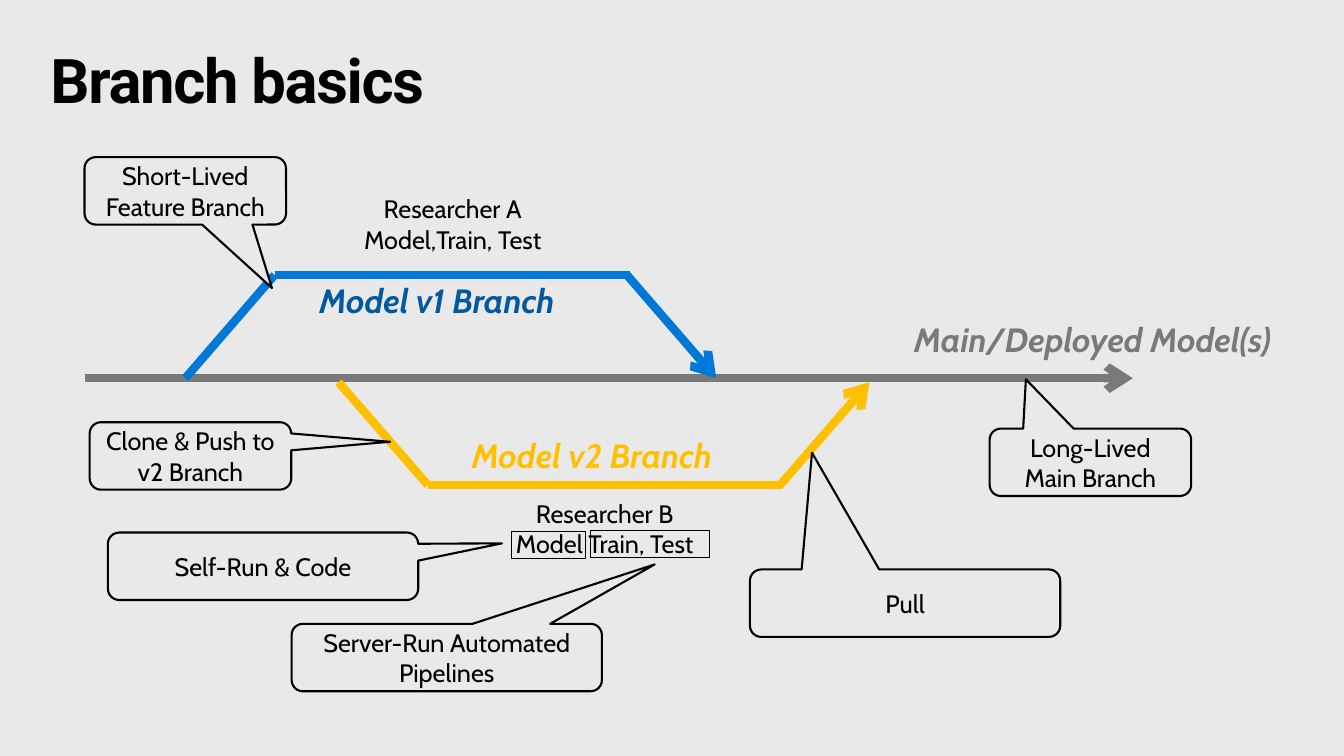
from dataclasses import dataclass

from lxml.etree import SubElement
from pptx import Presentation
from pptx.dml.color import RGBColor
from pptx.enum.shapes import MSO_CONNECTOR, MSO_SHAPE
from pptx.enum.text import MSO_ANCHOR, MSO_AUTO_SIZE, PP_ALIGN
from pptx.oxml.ns import qn
from pptx.util import Cm, Pt


@dataclass(frozen=True)
class Theme:
    paper: RGBColor = RGBColor.from_string("E9E9E9")
    ink: RGBColor = RGBColor.from_string("000000")
    main: RGBColor = RGBColor.from_string("797979")
    v1: RGBColor = RGBColor.from_string("0078D7")
    v1_name: RGBColor = RGBColor.from_string("0359A0")
    v2: RGBColor = RGBColor.from_string("FFC000")
    title_size: Pt = Pt(44)
    branch_size: Pt = Pt(24)
    body_size: Pt = Pt(18)
    track_width: Pt = Pt(6)
    callout_width: Pt = Pt(1.5)
    frame_width: Pt = Pt(0.5)


theme = Theme()
title_format = {"name": "Roboto", "size": theme.title_size, "bold": True}
branch_format = {"name": "Cabin", "size": theme.branch_size, "bold": True, "italic": True}
body_format = {"name": "Cabin", "size": theme.body_size}

prs = Presentation()
prs.slide_width, prs.slide_height = Cm(33.87), Cm(19.05)
slide = prs.slides.add_slide(prs.slide_layouts[5])
slide.background.fill.solid()
slide.background.fill.fore_color.rgb = theme.paper


def write(frame, text, font_format, color, align):
    """Fill a text frame, one paragraph per line of text."""
    frame.text = text
    for paragraph in frame.paragraphs:
        paragraph.alignment = align
        for attribute, value in font_format.items():
            setattr(paragraph.runs[0].font, attribute, value)
        paragraph.runs[0].font.color.rgb = color


def draw_track(start, end, color, arrow=False):
    track = slide.shapes.add_connector(
        MSO_CONNECTOR.STRAIGHT, *(Cm(value) for value in (*start, *end)))
    track.line.color.rgb = color
    track.line.width = theme.track_width
    if arrow:
        SubElement(track.line._get_or_add_ln(), qn("a:tailEnd"), type="arrow")
    SubElement(track._element.spPr, qn("a:effectLst"))


# Title
title = slide.shapes.title
title.left, title.top, title.width, title.height = Cm(1.27), Cm(1.27), Cm(31.32), Cm(1.75)
write(title.text_frame, "Branch basics", title_format, theme.ink, PP_ALIGN.LEFT)
title_layout = {"margin_left": 0, "margin_top": 0, "margin_right": 0, "margin_bottom": 0,
                "vertical_anchor": MSO_ANCHOR.TOP, "auto_size": MSO_AUTO_SIZE.NONE}
for attribute, value in title_layout.items():
    setattr(title.text_frame, attribute, value)
heading = title.text_frame.paragraphs[0]
heading.line_spacing = 0.9
heading.runs[0].font._element.set("spc", "-100")

# Main line, then each branch: leaves it, runs beside it, merges back
draw_track((2.13, 9.53), (28.55, 9.53), theme.main, arrow=True)
slope, branch_length, overlap = 2.25, 13.38, 0.08
for fork_x, fork_y, run_y, color in ((4.67, 9.53, 6.93, theme.v1),
                                     (8.53, 9.63, 12.22, theme.v2)):
    run_start, merge_x = fork_x + slope, fork_x + branch_length
    run_end = merge_x - slope
    draw_track((run_start, run_y), (run_end + overlap, run_y), color)
    draw_track((fork_x, fork_y), (run_start, run_y), color)
    draw_track((run_end, run_y), (merge_x, fork_y), color, arrow=True)

# Branch names and the researchers' work
labels = (
    ("Model v1 Branch", 8.05, 7.06, 6.71, 1.02, branch_format, theme.v1_name, PP_ALIGN.LEFT),
    ("Model v2 Branch", 11.89, 10.97, 6.71, 1.02, branch_format, theme.v2, PP_ALIGN.LEFT),
    ("Main/Deployed Model(s)", 23.04, 8.03, 9.86, 1.02, branch_format, theme.main,
     PP_ALIGN.LEFT),
    ("Researcher A\nModel,Train, Test", 8.97, 4.88, 4.88, 1.55, body_format, theme.ink,
     PP_ALIGN.CENTER),
    ("Researcher B\nModel Train, Test", 12.88, 12.55, 4.72, 1.55, body_format, theme.ink,
     PP_ALIGN.CENTER),
)
label_layout = {"margin_left": 0, "margin_top": 0, "margin_right": 0, "margin_bottom": 0,
                "word_wrap": False, "auto_size": MSO_AUTO_SIZE.SHAPE_TO_FIT_TEXT}
for text, left, top, width, height, font_format, color, align in labels:
    label = slide.shapes.add_textbox(Cm(left), Cm(top), Cm(width), Cm(height))
    for attribute, value in label_layout.items():
        setattr(label.text_frame, attribute, value)
    write(label.text_frame, text, font_format, color, align)

# Callouts: the pointer is the tip's offset from the centre, in widths and heights
narrow, wide, callout_height = 5.08, 7.82, 1.7
callouts = (
    ("Short-Lived Feature Branch", 2.13, 3.96, narrow, (0.43, 1.44)),
    ("Long-Lived Main Branch", 24.94, 10.8, narrow, (-0.32, -1.23)),
    ("Clone & Push to v2 Branch", 2.26, 10.64, narrow, (0.99, -0.21)),
    ("Server-Run Automated Pipelines", 7.35, 15.72, wide, (0.67, -1.38)),
    ("Pull", 18.9, 14.35, wide, (-0.3, -2.23)),
    ("Self-Run & Code", 2.72, 13.42, wide, (0.77, -0.34)),
)
for text, left, top, width, pointer in callouts:
    callout = slide.shapes.add_shape(MSO_SHAPE.ROUNDED_RECTANGULAR_CALLOUT,
                                     Cm(left), Cm(top), Cm(width), Cm(callout_height))
    callout.adjustments[0], callout.adjustments[1] = pointer
    callout.shadow.inherit = False
    callout.fill.solid()
    callout.fill.fore_color.rgb = theme.paper
    callout.line.color.rgb = theme.ink
    callout.line.width = theme.callout_width
    callout.text_frame.word_wrap = True
    callout.text_frame.vertical_anchor = MSO_ANCHOR.MIDDLE
    write(callout.text_frame, text, body_format, theme.ink, PP_ALIGN.CENTER)

# Frames around Researcher B's steps
for left, top, width in ((12.88, 13.39, 1.88), (14.88, 13.36, 3.0)):
    step_frame = slide.shapes.add_shape(MSO_SHAPE.RECTANGLE,
                                        Cm(left), Cm(top), Cm(width), Cm(0.69))
    step_frame.shadow.inherit = False
    step_frame.fill.background()
    step_frame.line.color.rgb = theme.ink
    step_frame.line.width = theme.frame_width

prs.save("out.pptx")
